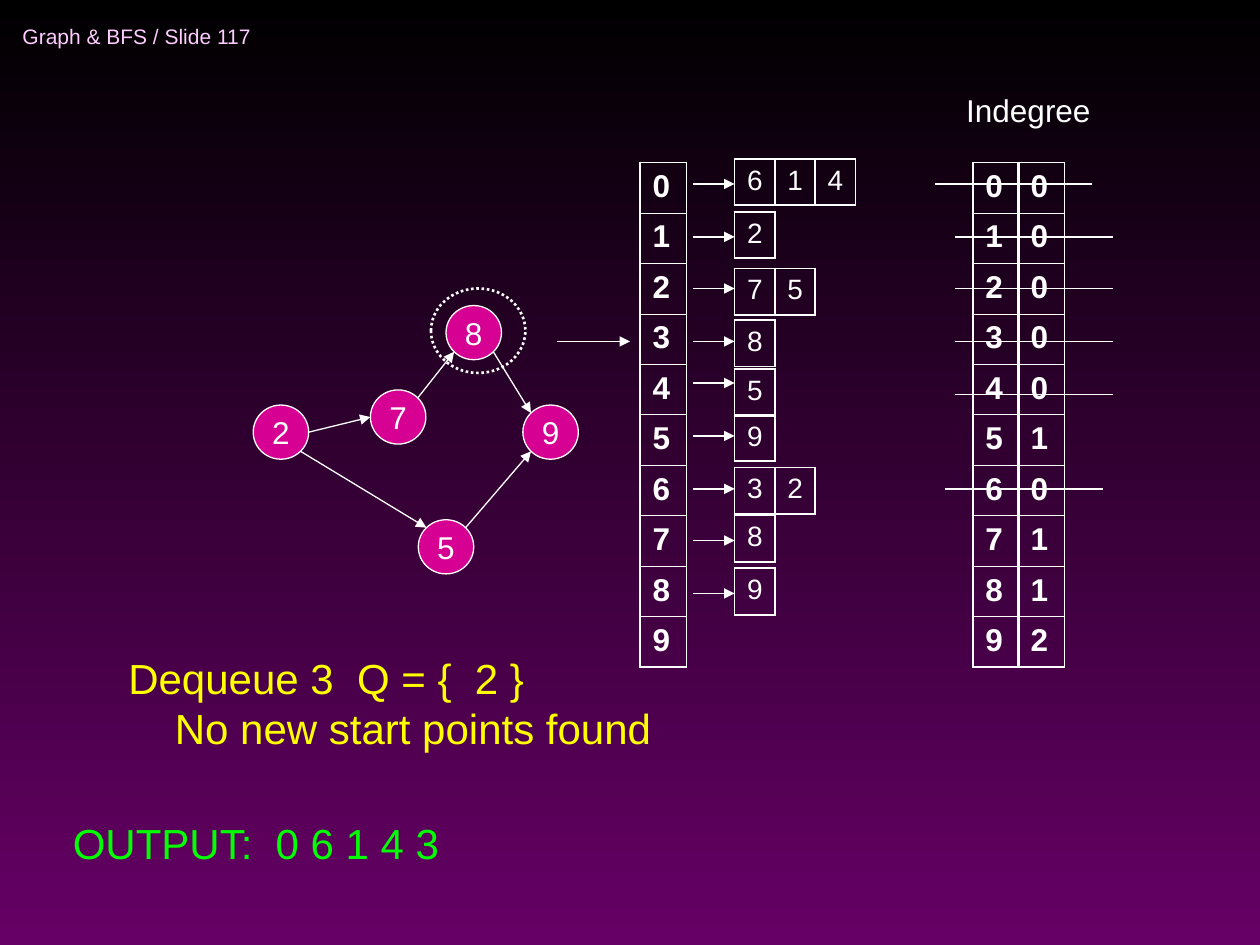
from math import cos, radians, sin

from lxml import etree
from pptx import Presentation
from pptx.dml.color import RGBColor
from pptx.enum.dml import MSO_LINE
from pptx.enum.shapes import MSO_CONNECTOR, MSO_SHAPE
from pptx.enum.text import MSO_ANCHOR, MSO_AUTO_SIZE, PP_ALIGN
from pptx.oxml.ns import qn
from pptx.util import Inches, Pt

COLORS = {
    "white": "FFFFFF", "top": "000000", "bottom": "660066", "node": "D60093",
    "header": "FFCCFF", "step": "FFFF00", "output": "00FF00",
}
FONT = "Arial"

# Text: paragraphs with their indent, box, format
LABELS = [
    ([("Graph & BFS / Slide 117", 0)], (0.08, 0.08, 2.75, 0.42),
     dict(size=12, color="header"), MSO_ANCHOR.MIDDLE),
    ([("Indegree", 0)], (7.57, 0.67, 1.25, 0.4), dict(size=18), MSO_ANCHOR.TOP),
    ([("Dequeue 3  Q = {  2 }", 0), ("No new start points found", 0.37)],
     (0.92, 5.13, 4.4, 0.9), dict(size=24, color="step"), MSO_ANCHOR.TOP),
    ([("OUTPUT:  0 6 1 4 3", 0)], (0.48, 6.44, 3.64, 0.5),
     dict(size=24, color="output"), MSO_ANCHOR.TOP),
]

# Graph: node centres, and edges leaving and arriving at an angle (clockwise from right)
NODES = {"2": (2.23, 3.43), "5": (3.54, 4.34), "7": (3.16, 3.31),
         "8": (3.76, 2.64), "9": (4.37, 3.43)}
NODE_W, NODE_H = 0.44, 0.43
EDGES = [("2", 45, "5", 225), ("5", 315, "9", 135), ("2", 0, "7", 180),
         ("8", 45, "9", 225), ("7", 315, "8", 135)]
CURRENT_RING = (3.42, 2.29, 0.75, 0.67)

# Columns of vertices and indegrees: left edge, values
VERTICES = list("0123456789")
COLUMNS = [(5.08, VERTICES), (7.72, VERTICES), (8.08, list("0000010112"))]
COLUMN_TOP, COLUMN_W, ROW_H = 1.29, 0.37, 0.4

# Adjacency lists: neighbours, top of the list, height of its arrow
ADJACENCY = [
    ("614", 1.26, 1.46), ("2", 1.68, 1.88), ("75", 2.13, 2.29),
    ("8", 2.54, 2.71), ("5", 2.93, 3.04), ("9", 3.29, 3.46),
    ("32", 3.71, 3.88), ("8", 4.09, 4.29), ("9", 4.51, 4.71),
]
ARROW_LEFT, LIST_LEFT, LIST_CELL_W, LIST_H = 5.5, 5.83, 0.32, 0.37
CURRENT_ARROW = ((4.42, 2.71), (5, 2.71))

# Strikes through processed vertices: left edge, height
STRIKES = [(7.42, 1.46), (7.58, 1.88), (7.58, 2.29), (7.58, 2.71),
           (7.58, 3.13), (7.5, 3.88)]
STRIKE_W = 1.25


def rgb(name):
    return RGBColor.from_string(COLORS[name])


def write(paragraph, text, *, size, color="white", bold=False, align=PP_ALIGN.LEFT):
    run = paragraph.add_run()
    run.text = text
    paragraph.alignment = align
    run.font.name, run.font.size, run.font.bold = FONT, Pt(size), bold
    run.font.color.rgb = rgb(color)


def add_label(slide, paragraphs, box, style, anchor):
    frame = slide.shapes.add_textbox(*map(Inches, box)).text_frame
    frame.word_wrap = False
    frame.vertical_anchor = anchor
    if anchor == MSO_ANCHOR.TOP:
        frame.auto_size = MSO_AUTO_SIZE.SHAPE_TO_FIT_TEXT
    for index, (text, indent) in enumerate(paragraphs):
        paragraph = frame.add_paragraph() if index else frame.paragraphs[0]
        if indent:
            paragraph._p.get_or_add_pPr().set("marL", str(Inches(indent)))
        write(paragraph, text, **style)


def add_line(slide, start, end, arrow=False):
    ends = map(Inches, (*start, *end))
    line = slide.shapes.add_connector(MSO_CONNECTOR.STRAIGHT, *ends)
    line.line.color.rgb = rgb("white")
    line.line.width = Pt(0.75)
    if arrow:
        etree.SubElement(line.line._get_or_add_ln(), qn("a:tailEnd"), type="triangle")
    etree.SubElement(line._element.spPr, qn("a:effectLst"))


def add_ellipse(slide, box, width, fill=None):
    ellipse = slide.shapes.add_shape(MSO_SHAPE.OVAL, *map(Inches, box))
    ellipse.shadow.inherit = False
    if fill:
        ellipse.fill.solid()
        ellipse.fill.fore_color.rgb = rgb(fill)
    else:
        ellipse.fill.background()
    ellipse.line.color.rgb = rgb("white")
    ellipse.line.width = Pt(width)
    return ellipse


def set_borders(cell, widths):
    properties = cell._tc.get_or_add_tcPr()
    for index, (side, width) in enumerate(widths.items()):
        border = etree.Element(qn(f"a:ln{side}"), w=str(Pt(width)))
        fill = etree.SubElement(border, qn("a:solidFill"))
        etree.SubElement(fill, qn("a:srgbClr"), val=COLORS["white"])
        properties.insert(index, border)


def add_grid(slide, left, top, rows, cell_w, cell_h, **style):
    """Table with a strong frame and thin lines between its rows."""
    n_rows, n_cols = len(rows), len(rows[0])
    table = slide.shapes.add_table(
        n_rows, n_cols, Inches(left), Inches(top),
        Inches(cell_w * n_cols), Inches(cell_h * n_rows)).table
    table.first_row = table.horz_banding = False
    for column in table.columns:
        column.width = Inches(cell_w)
    for r, values in enumerate(rows):
        table.rows[r].height = Inches(cell_h)
        for c, value in enumerate(values):
            cell = table.cell(r, c)
            cell.fill.background()
            set_borders(cell, {"L": 1.08, "R": 1.08,
                               "T": 0.45 if r else 1.08,
                               "B": 0.45 if r < n_rows - 1 else 1.08})
            write(cell.text_frame.paragraphs[0], value, **style)


def rim_point(node, angle):
    x, y = NODES[node]
    return (x + NODE_W / 2 * cos(radians(angle)), y + NODE_H / 2 * sin(radians(angle)))


def paint_background(slide):
    fill = slide.background.fill
    fill.gradient()
    fill.gradient_angle = 270
    for stop, name, position in zip(fill.gradient_stops, ("top", "bottom"), (0, 1)):
        stop.color.rgb = rgb(name)
        stop.position = position


def main():
    deck = Presentation()
    deck.slide_width, deck.slide_height = Inches(10), Inches(7.5)
    slide = deck.slides.add_slide(deck.slide_layouts[6])
    paint_background(slide)

    for label in LABELS:
        add_label(slide, *label)

    for name, (x, y) in NODES.items():
        box = (x - NODE_W / 2, y - NODE_H / 2, NODE_W, NODE_H)
        frame = add_ellipse(slide, box, 0.75, "node").text_frame
        frame.word_wrap = False
        write(frame.paragraphs[0], name, size=18, align=PP_ALIGN.CENTER)
    for source, leave, target, arrive in EDGES:
        add_line(slide, rim_point(source, leave), rim_point(target, arrive), arrow=True)
    add_ellipse(slide, CURRENT_RING, 1.5).line.dash_style = MSO_LINE.ROUND_DOT

    for left, values in COLUMNS:
        add_grid(slide, left, COLUMN_TOP, [[v] for v in values], COLUMN_W, ROW_H,
                 size=18, bold=True)
    for neighbours, top, y in ADJACENCY:
        add_grid(slide, LIST_LEFT, top, [neighbours], LIST_CELL_W, LIST_H, size=16)
        add_line(slide, (ARROW_LEFT, y), (LIST_LEFT, y), arrow=True)
    add_line(slide, *CURRENT_ARROW, arrow=True)
    for left, y in STRIKES:
        add_line(slide, (left, y), (left + STRIKE_W, y))

    deck.save("out.pptx")


if __name__ == "__main__":
    main()
